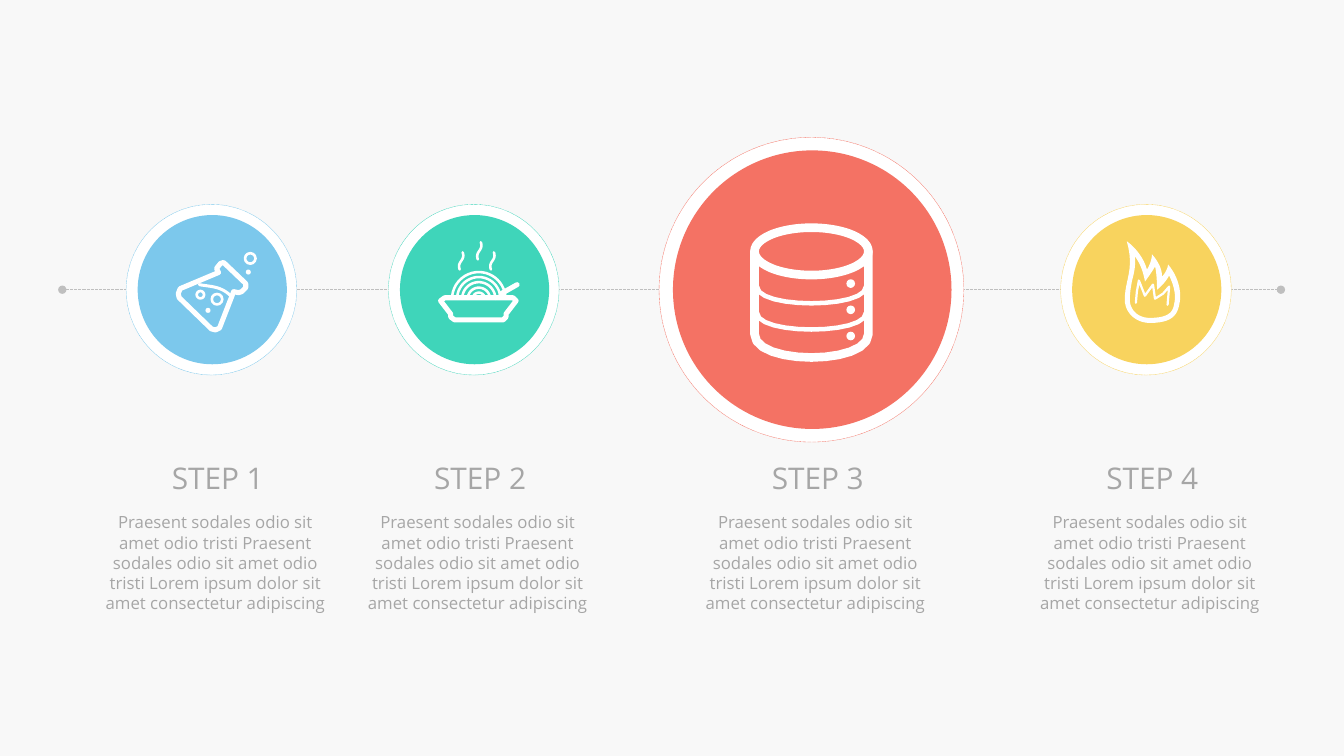
from math import cos, pi, sin

from lxml import etree
from pptx import Presentation
from pptx.dml.color import RGBColor
from pptx.enum.dml import MSO_LINE
from pptx.enum.shapes import MSO_CONNECTOR as CONN, MSO_SHAPE as SHAPE
from pptx.enum.text import PP_ALIGN
from pptx.oxml.ns import qn
from pptx.util import Cm, Pt

FONT, GREY, WHITE = "Open Sans", "A6A6A6", "FFFFFF"
MID_Y = 7.3
UNIT = 0.0254  # icon grid step in cm
BODY = ("Praesent sodales odio sit amet odio tristi Praesent sodales odio sit amet "
        "odio tristi Lorem ipsum dolor sit amet consectetur adipiscing")


def rgb(value):
    return RGBColor.from_string(value)


def paint(sp, fill=None, line=None, width=0):
    sp.shadow.inherit = False
    if fill:
        sp.fill.solid()
        sp.fill.fore_color.rgb = rgb(fill)
    else:
        sp.fill.background()
    if line:
        sp.line.color.rgb = rgb(line)
        sp.line.width = width
    else:
        sp.line.fill.background()


def add_circle(s, cx, cy, rx, ry=None, **style):
    ry = ry or rx
    sp = s.shapes.add_shape(SHAPE.OVAL, Cm(cx - rx), Cm(cy - ry), Cm(2 * rx), Cm(2 * ry))
    paint(sp, **style)
    return sp


def flatten(path_points):
    """Turn pairs (lines) and sextuples (Bezier curves) into plain points."""
    points = [path_points[0]]
    for item in path_points[1:]:
        if len(item) == 2:
            points.append(item)
            continue
        x0, y0 = points[-1]
        x1, y1, x2, y2, x3, y3 = item
        for i in range(1, 13):
            t = i / 12
            a, b, c, d = (1 - t) ** 3, 3 * t * (1 - t) ** 2, 3 * t * t * (1 - t), t ** 3
            points.append((a * x0 + b * x1 + c * x2 + d * x3,
                           a * y0 + b * y1 + c * y2 + d * y3))
    return points


class Icon:
    """White drawing on a grid centred at (cx, cy)."""

    def __init__(self, s, cx, cy):
        self.s, self.cx, self.cy = s, cx, cy

    def place(self, point):
        return Cm(self.cx + point[0] * UNIT), Cm(self.cy + point[1] * UNIT)

    def outline(self, contours, close):
        builder = None
        for contour in contours:
            points = [self.place(p) for p in flatten(contour)]
            if builder is None:
                builder = self.s.shapes.build_freeform(*points[0], scale=1.0)
            else:
                builder.move_to(*points[0])
            builder.add_line_segments(points[1:], close=close)
        return builder.convert_to_shape()

    def solid(self, *contours):
        paint(self.outline(contours, True), fill=WHITE)

    def stroke(self, width, contour, close=False):
        sp = self.outline([contour], close)
        paint(sp, line=WHITE, width=Cm(width * UNIT))
        ln = sp.line._get_or_add_ln()
        ln.set("cap", "rnd")
        etree.SubElement(ln, qn("a:round"))

    def ring(self, width, x, y, rx, ry=None):
        add_circle(self.s, self.cx + x * UNIT, self.cy + y * UNIT, rx * UNIT,
                   (ry or rx) * UNIT, line=WHITE, width=Cm(width * UNIT))

    def dot(self, x, y, radius):
        add_circle(self.s, self.cx + x * UNIT, self.cy + y * UNIT, radius * UNIT, fill=WHITE)


def draw_flask(icon):
    icon.stroke(5, [(7, -17), (-31, -1), (-33, 4), (-32, 8), (0, 39), (4, 40), (8, 38),
                    (22, 2), (27, 3), (30, 2), (34, -2), (34, -6), (12, -27), (9, -26),
                    (5, -21)], close=True)
    icon.stroke(3, [(-12, -5), (-3, -3, 8, -4, 18, 5)])
    for x, y, radius in [(5.5, 9.5, 5.2), (38.5, -31, 5.2), (-11, 5, 3.7)]:
        icon.ring(2.6, x, y, radius)
    for x, y in [(-3.5, 20.5), (36.5, -17.5)]:
        icon.dot(x, y, 2.5)


def draw_noodles(icon):
    # Bowl and chopstick
    icon.stroke(5, [(-29, 8), (39, 8), (42, 11), (32, 24), (32, 27), (29, 30), (-19, 30),
                    (-23, 27), (-23, 24), (-33, 11)], close=True)
    icon.stroke(5, [(27, 4), (43, -5)])
    # Noodle arcs
    for radius in (26.5, 21.5, 16.5, 11, 6):
        angles = [pi + pi * i / 24 for i in range(25)]
        icon.stroke(2.5, [(5 + radius * cos(a), 9 + radius * sin(a)) for a in angles])
    # Steam
    for x, y in [(-14, -20), (17, -20), (4, -30)]:
        icon.stroke(2.5, [(x, y), (x - 3, y - 8, x + 6, y - 9, x + 3, y - 17)])


def draw_database(icon):
    icon.ring(8.6, 0, -38, 56.5, 23.5)
    icon.stroke(8.6, [(-56.5, -38), (-56.5, 44), (-56.5, 75, 56.5, 75, 56.5, 44),
                      (56.5, -38)])
    for y in (-3, 23):
        icon.stroke(4.5, [(-54, y), (-54, y + 22, 54, y + 22, 54, y)])
    for y in (-6, 20, 46):
        icon.dot(39, y, 4.3)


def draw_flame(icon):
    icon.solid(
        [(22, -25), (21, -18, 16, -13, 16, -13), (16, -25, 6, -35, 6, -35),
         (6, -35, 6, -28, 1, -20), (-4, -38, -19, -48, -19, -48),
         (-11, -20, -21, -10, -21, 10), (-21, 22, -11, 33, 4, 33),
         (26, 33, 31, 25, 33, 15), (36, 2, 32, -13, 22, -25)],
        [(28, 14), (27, 20, 25, 28, 4, 28), (-9, 28, -16, 19, -16, 10),
         (-16, 3, -15, -2, -14, -8), (-12, -16, -10, -23, -11, -33),
         (-3, -23, -1, -8, -1, -8), (-1, -8, 7, -19, 9, -23),
         (10, -20, 11, -10, 11, 0), (11, 0, 18, -5, 23, -14),
         (28, -4, 30, 6, 28, 14)])
    icon.stroke(2.2, [(-10, 13), (-9, 2), (-7, -9), (-1, 6), (7, -5), (9, 9), (17, 4),
                      (23, -3), (21.5, 15)])


def add_text(s, text, cx, top, width, height, size, wrap):
    tf = s.shapes.add_textbox(Cm(cx - width / 2), Cm(top), Cm(width), Cm(height)).text_frame
    tf.word_wrap = wrap
    p = tf.paragraphs[0]
    p.text = text
    p.alignment = PP_ALIGN.CENTER
    p.font.name, p.font.size, p.font.color.rgb = FONT, Pt(size), rgb(GREY)


def add_timeline(s, left, right, y):
    line = s.shapes.add_connector(CONN.STRAIGHT, Cm(left), Cm(y), Cm(right), Cm(y))
    line.line.color.rgb = rgb("BFBFBF")
    line.line.width = Pt(0.75)
    line.line.dash_style = MSO_LINE.SQUARE_DOT
    ln = line.line._get_or_add_ln()
    for end in ("a:headEnd", "a:tailEnd"):
        etree.SubElement(ln, qn(end), type="oval")
    etree.SubElement(line._element.spPr, qn("a:effectLst"))


def add_step(s, number, cx, cy, color, outer, inner, draw_icon):
    ring = add_circle(s, cx, cy, outer, fill=WHITE, line=color, width=Pt(0.25))
    ring.line.dash_style = MSO_LINE.ROUND_DOT
    add_circle(s, cx + 0.02, cy, inner, fill=color)
    draw_icon(Icon(s, cx, cy))
    add_text(s, f"STEP {number}", cx + 0.16, cy + 4.16, 3.12, 1.17, 21.3, False)
    add_text(s, BODY, cx + 0.1, cy + 5.48, 6.1, 2.82, 12, True)


def main():
    prs = Presentation()
    prs.slide_width, prs.slide_height = Cm(33.87), Cm(19.05)
    s = prs.slides.add_slide(prs.slide_layouts[6])
    s.background.fill.solid()
    s.background.fill.fore_color.rgb = rgb("F8F8F8")

    add_timeline(s, 1.57, 32.28, MID_Y)
    small, large = (2.15, 1.88), (3.84, 3.51)
    steps = [(5.33, "7CC8EC", small, draw_flask),
             (11.94, "3FD5BA", small, draw_noodles),
             (20.45, "F47264", large, draw_database),
             (28.88, "F8D35E", small, draw_flame)]
    for number, (cx, color, radii, draw_icon) in enumerate(steps, 1):
        add_step(s, number, cx, MID_Y, color, *radii, draw_icon)

    prs.save("out.pptx")


if __name__ == "__main__":
    main()
